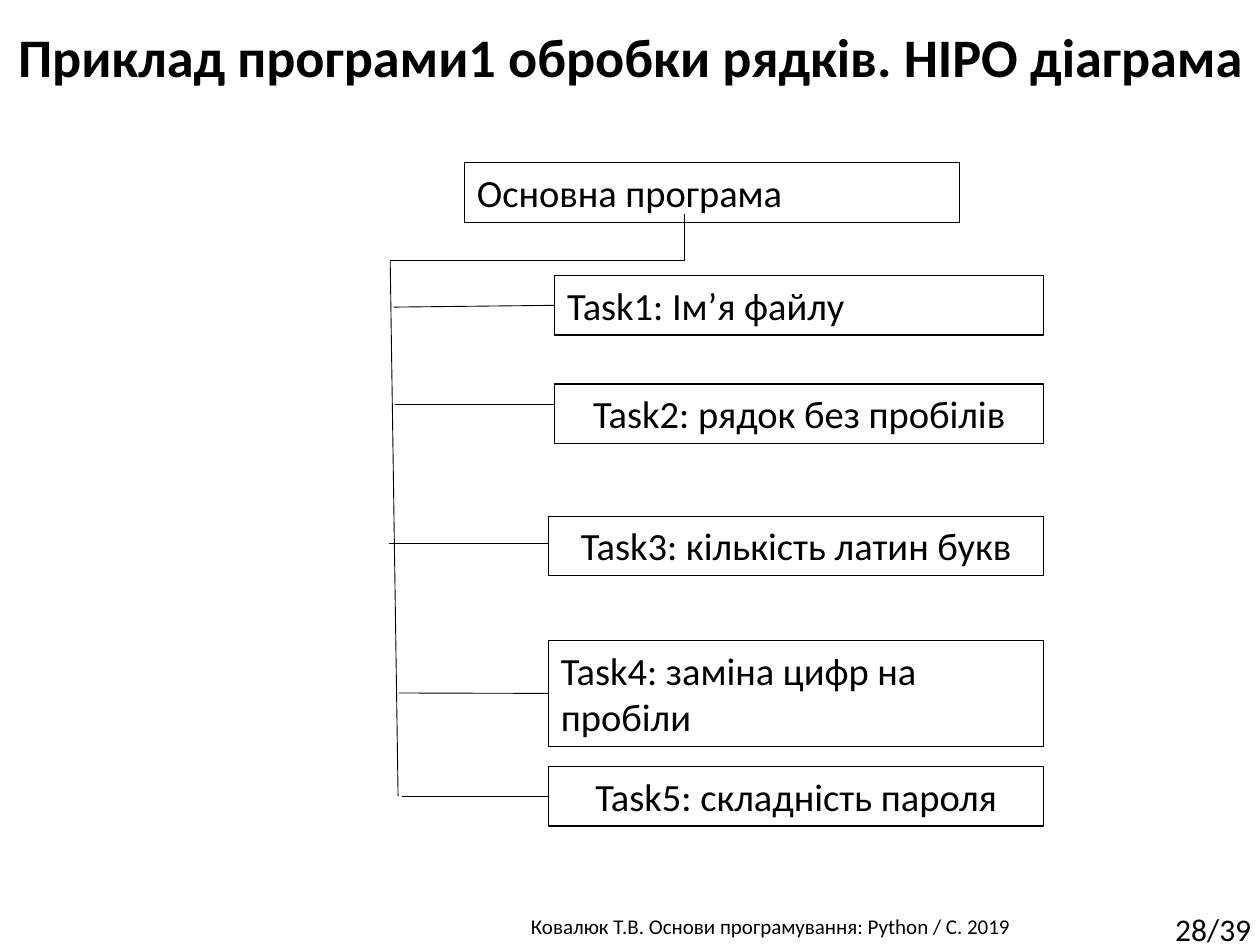
from dataclasses import dataclass

from lxml.etree import SubElement as Sub
from pptx import Presentation as Deck
from pptx.dml.color import RGBColor as Color
from pptx.enum.shapes import MSO_CONNECTOR as Link, MSO_SHAPE as Form
from pptx.enum.text import MSO_ANCHOR as Anchor, PP_ALIGN as Align
from pptx.oxml.ns import qn
from pptx.util import Pt


@dataclass(frozen=True)
class Theme:
    """Colours, font and sizes of the slide."""
    ink: Color = Color(0, 0, 0)
    face: str = "Calibri"
    title: float = 31
    body: float = 22
    page: float = 18
    foot: float = 12
    edge: float = 0.75
    thin: float = 0.5


THEME = Theme()
RIGHT = 596.5
LOW = 34
TASKS = [
    ("Task1: Ім’я файлу", 317, 157.5, LOW, Align.LEFT, (225, 175.5), None),
    ("Task2: рядок без пробілів", 317, 219.5, LOW, Align.CENTER, (225.5, 231), 231),
    ("Task3: кількість латин букв", 313.5, 295, LOW, Align.CENTER, (222.5, 310.5), 310.5),
    ("Task4: заміна цифр на пробіли", 313.5, 366, 60.5, Align.LEFT, (228, 396), None),
    ("Task5: складність пароля", 313.5, 438, LOW, Align.CENTER, (229.5, 455), None),
]


def write(frame, text, size, align, bold=False, wrap=True):
    """Put one styled paragraph into a text frame."""
    frame.word_wrap = wrap
    frame.vertical_anchor = Anchor.TOP
    para = frame.paragraphs[0]
    para.text = text
    para.alignment = align
    font = para.font
    font.name, font.size, font.bold = THEME.face, Pt(size), bold
    font.color.rgb = THEME.ink


def label(slide, area, text, size, align, **style):
    """Add a plain text box."""
    box = slide.shapes.add_textbox(*map(Pt, area))
    write(box.text_frame, text, size, align, **style)


def block(slide, area, text, align):
    """Add an outlined box of the diagram."""
    box = slide.shapes.add_shape(Form.RECTANGLE, *map(Pt, area))
    box.shadow.inherit = False
    box.fill.background()
    box.line.color.rgb = THEME.ink
    box.line.width = Pt(THEME.edge)
    write(box.text_frame, text, THEME.body, align)
    return box


def wire(slide, start, end):
    """Add a thin straight line."""
    line = slide.shapes.add_connector(Link.STRAIGHT, *map(Pt, (*start, *end)))
    line.line.color.rgb = THEME.ink
    line.line.width = Pt(THEME.thin)
    Sub(line._element.spPr, qn("a:effectLst"))
    return line


def branch(slide, text, left, top, high, align, start, stop):
    """Add a task box and its line from the trunk."""
    box = block(slide, (left, top, RIGHT - left, high), text, align)
    line = wire(slide, start, (left, stop or top + high / 2))
    if stop is None:
        line.end_connect(box, 1)


def main():
    """Build the slide and save it."""
    deck = Deck()
    deck.slide_width, deck.slide_height = Pt(720), Pt(540)
    slide = deck.slides.add_slide(deck.slide_layouts[6])
    label(slide, (237, 518.5, 409.5, 21.5),
          "Ковалюк Т.В. Основи програмування: Python / C. 2019 ",
          THEME.foot, Align.CENTER)
    label(slide, (664.5, 516.5, 61, 29), "28/39", THEME.page, Align.LEFT, wrap=False)
    label(slide, (0, 9.5, 720, 44.5),
          "Приклад програми1 обробки рядків. HIPO діаграма",
          THEME.title, Align.CENTER, bold=True)
    block(slide, (265.5, 93, 283, LOW), "Основна програма", Align.LEFT)
    bend, knee = (391, 149), (223, 149)
    wire(slide, (391, 122.5), bend)
    wire(slide, knee, bend)
    wire(slide, knee, (227.5, 455))
    for task in TASKS:
        branch(slide, *task)
    deck.save("out.pptx")


if __name__ == "__main__":
    main()
